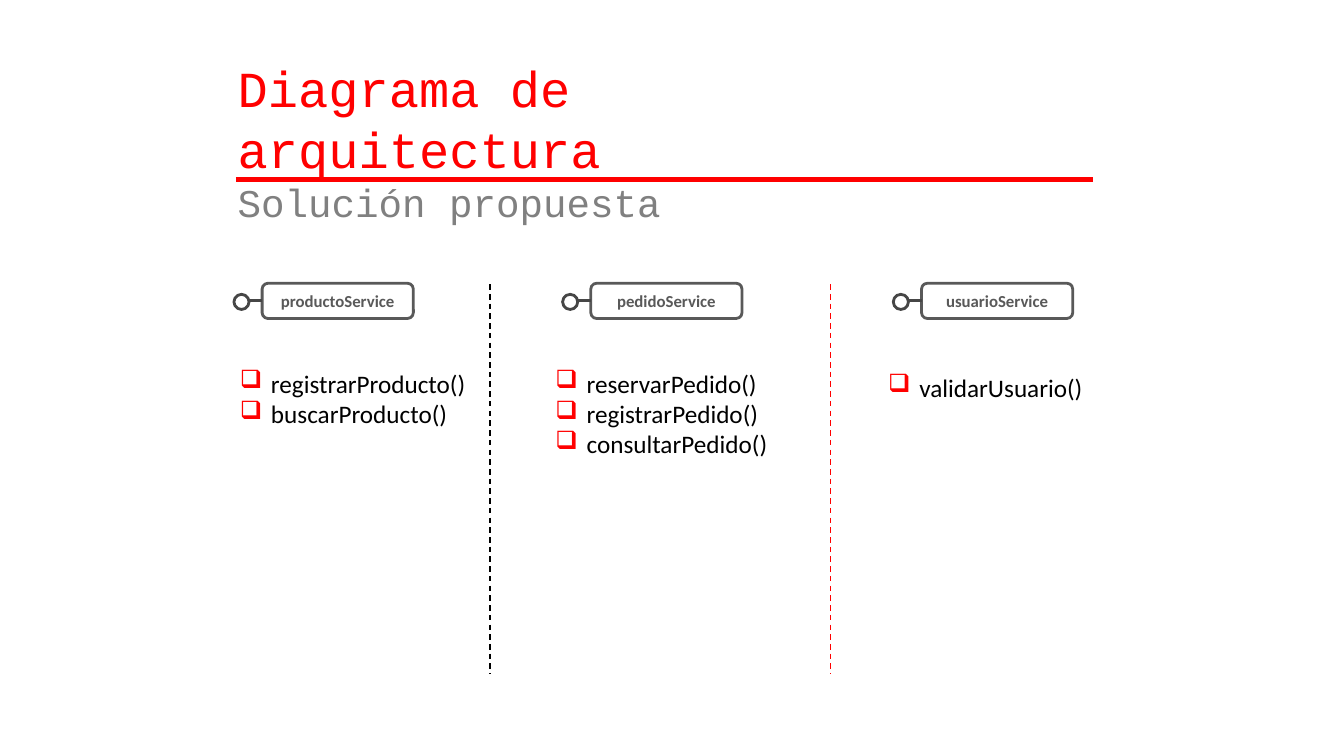
import pptx
import pptx.util
import pptx.dml.color
import pptx.enum.dml
import pptx.enum.shapes
import pptx.enum.text
import pptx.oxml
import pptx.oxml.ns
from pptx.util import Inches

RED = pptx.dml.color.RGBColor(0xFF, 0, 0)
GREY = pptx.dml.color.RGBColor(0x80, 0x80, 0x80)
EDGE = pptx.dml.color.RGBColor(0x59, 0x59, 0x59)
DARK = pptx.dml.color.RGBColor(0x46, 0x46, 0x46)
BLACK = pptx.dml.color.RGBColor(0, 0, 0)
SHAPES = pptx.enum.shapes.MSO_SHAPE
ALIGN = pptx.enum.text.PP_ALIGN
ANCHOR = pptx.enum.text.MSO_ANCHOR


def bullet(para):
    """Give a paragraph a red box bullet and a hanging indent."""
    props = para._p.get_or_add_pPr()
    props.set("marL", str(Inches(0.31)))
    props.set("indent", str(-Inches(0.31)))
    space = pptx.oxml.ns.nsdecls("a")
    for part in (f'<a:buClr {space}><a:srgbClr val="{RED}"/></a:buClr>',
                 f'<a:buFont {space} typeface="Wingdings"/>',
                 f'<a:buChar {space} char="\u2751"/>'):
        if "buFont" not in part:
            props.append(pptx.oxml.parse_xml(part))


def write(frame, text, size=18, font="Calibri", color=BLACK, bold=False,
          align=ALIGN.LEFT, mark=False):
    """Add one formatted paragraph to a text frame."""
    para = frame.paragraphs[0]
    if para.runs:
        para = frame.add_paragraph()
    para.alignment = align
    if mark:
        bullet(para)
    run = para.add_run()
    run.text = text
    run.font.size = pptx.util.Pt(size)
    run.font.name = font
    run.font.color.rgb = color
    run.font.bold = bold


def text_box(slide, left, top, width, height):
    """Add a wrapping text box and return its frame."""
    frame = slide.shapes.add_textbox(
        Inches(left), Inches(top), Inches(width), Inches(height)).text_frame
    frame.word_wrap = True
    return frame


def rule(slide, start, end, color, weight, dash=False):
    """Draw a straight line between two points."""
    line = slide.shapes.add_connector(
        pptx.enum.shapes.MSO_CONNECTOR.STRAIGHT, *map(Inches, start + end))
    line.line.color.rgb = color
    line.line.width = pptx.util.Pt(weight)
    if dash:
        line.line.dash_style = pptx.enum.dml.MSO_LINE.DASH
    space = pptx.oxml.ns.nsdecls("a")
    line._element.spPr.append(pptx.oxml.parse_xml(f"<a:effectLst {space}/>"))


def outline(slide, kind, left, top, width, height, color):
    """Add an unfilled shape with a two-point edge."""
    shape = slide.shapes.add_shape(
        kind, Inches(left), Inches(top), Inches(width), Inches(height))
    shape.shadow.inherit = False
    shape.fill.background()
    shape.line.color.rgb = color
    shape.line.width = pptx.util.Pt(2)
    return shape


def header(slide, left, top, width):
    """Place the title, its subtitle and the red rule."""
    frame = text_box(slide, left, top, 5.9, 1.18)
    write(frame, "Diagrama de arquitectura", size=36, font="Courier New",
          color=RED)
    write(frame, "Solución propuesta", size=28, font="Courier New",
          color=GREY)
    level = top + 1.26
    rule(slide, (left + 0.08, level), (left + width, level), RED, 3)


def service(slide, left, top, name):
    """Place a service box with its interface knob."""
    box = outline(slide, SHAPES.ROUNDED_RECTANGLE, left, top, 1.5, 0.35, EDGE)
    frame = box.text_frame
    frame.vertical_anchor = ANCHOR.MIDDLE
    frame.margin_top = frame.margin_bottom = 0
    write(frame, name, size=12, color=EDGE, bold=True, align=ALIGN.CENTER)
    level = top + 0.17
    rule(slide, (left, level), (left - 0.13, level), DARK, 2.25)
    outline(slide, SHAPES.OVAL, left - 0.28, top + 0.11, 0.15, 0.15, DARK)


def methods(slide, left, top, names):
    """List the methods of a service."""
    frame = text_box(slide, left, top, 2.5, 0.1 + 0.3 * len(names))
    for name in names:
        write(frame, name, mark=True)


def main():
    """Build and save the slide."""
    deck = pptx.Presentation()
    deck.slide_width, deck.slide_height = Inches(13.33), Inches(7.5)
    slide = deck.slides.add_slide(deck.slide_layouts[6])
    header(slide, 2.26, 0.52, 8.58)
    columns = (
        ("productoService", 2.6, 2.28, 3.6,
         ("registrarProducto()", "buscarProducto()")),
        ("pedidoService", 5.86, 5.41, 3.6,
         ("reservarPedido()", "registrarPedido()", "consultarPedido()")),
        ("usuarioService", 9.14, 8.71, 3.64, ("validarUsuario()",)),
    )
    for name, left, edge, top, names in columns:
        service(slide, left, 2.81, name)
        methods(slide, edge, top, names)
    for left, color in ((4.86, BLACK), (8.24, RED)):
        rule(slide, (left, 2.82), (left, 6.69), color, 1, dash=True)
    deck.save("out.pptx")


main()
